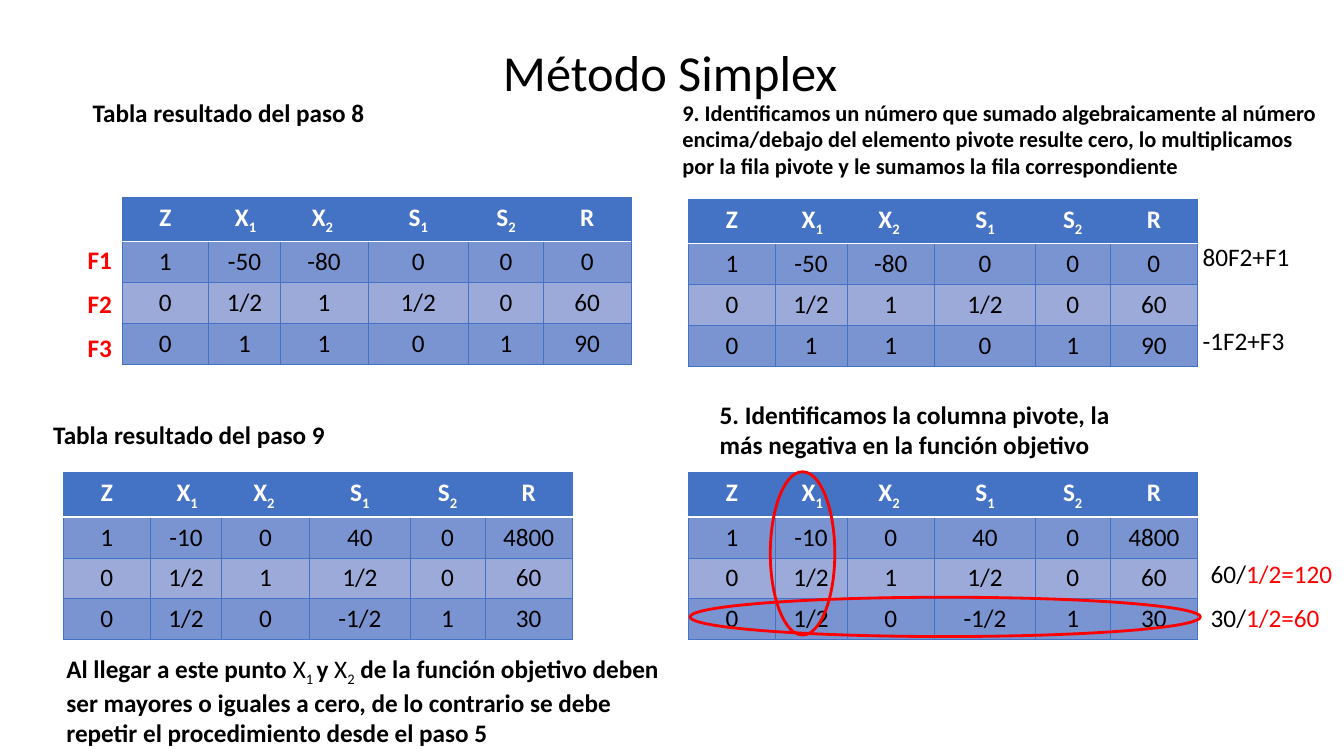
from lxml.etree import SubElement
from pptx import Presentation
from pptx.dml.color import RGBColor
from pptx.enum.shapes import MSO_SHAPE
from pptx.enum.text import MSO_AUTO_SIZE, PP_ALIGN
from pptx.oxml.ns import qn
from pptx.util import Inches, Pt

BLACK = RGBColor(0x00, 0x00, 0x00)
WHITE = RGBColor(0xFF, 0xFF, 0xFF)
RED = RGBColor(0xFF, 0x00, 0x00)
BLUE = RGBColor(0x44, 0x72, 0xC4)
DARK_BAND = RGBColor(0x79, 0x94, 0xD1)
LIGHT_BAND = RGBColor(0x9C, 0xAA, 0xDA)
FONT = "Calibri"

SUB = {"sub": True}
PLAIN = {"bold": False}
PLAIN_SUB = {"bold": False, "sub": True}
IN_RED = {"color": RED}

HEADER = [["Z"], [" X", ("1 ", SUB)], ["X", ("2 ", SUB)],
          ["S", ("1", SUB)], ["S", ("2", SUB)], ["R"]]
STEP_8 = [["1", "-50", "-80", "0", "0", "0"],
          ["0", "1/2", "1", "1/2", "0", "60"],
          ["0", "1", "1", "0", "1", "90"]]
STEP_9 = [["1", "-10", "0", "40", "0", "4800"],
          ["0", "1/2", "1", "1/2", "0", "60"],
          ["0", "1/2", "0", "-1/2", "1", "30"]]
COLUMN_WIDTHS = [0.86, 0.71, 0.87, 1.0, 0.74, 0.87]
ROW_HEIGHT = 0.405
TABLES = [(1.21, 1.96, STEP_8), (0.63, 4.69, STEP_9),
          (6.83, 1.98, STEP_8), (6.83, 4.69, STEP_9)]

# (left, top, width, height), size, bold, color, wrap, gap, paragraphs
TEXTS = [
    ((4.89, 0.36, 3.55, 0.71), 36, False, BLACK, False, 0, [["Método Simplex"]]),
    ((0.82, 0.92, 4.2, 0.4), 18, True, BLACK, True, 0, [["Tabla resultado del paso 8"]]),
    ((6.67, 0.93, 6.53, 0.91), 16, True, BLACK, True, 0,
     [["9. Identificamos un número que sumado algebraicamente al número "
       "encima/debajo del elemento pivote resulte cero, lo multiplicamos "
       "por la fila pivote y le sumamos la fila correspondiente"]]),
    ((11.83, 2.34, 1.07, 1.25), 18, False, BLACK, False, 39, [["80F2+F1"], ["-1F2+F3"]]),
    ((0.43, 4.11, 5.84, 0.4), 18, True, BLACK, True, 0, [["Tabla resultado del paso 9"]]),
    ((11.91, 5.49, 1.42, 0.98), 18, False, BLACK, False, 9.8,
     [["60/", ("1/2=120", IN_RED)], ["30/", ("1/2=60", IN_RED)]]),
    ((0.77, 2.37, 0.45, 1.28), 18, True, RED, False, 9.8, [["F1"], ["F2"], ["F3"]]),
    ((0.56, 6.43, 6.11, 1.01), 18, True, BLACK, True, 0,
     [["Al llegar a este punto ", ("X", PLAIN), ("1 ", PLAIN_SUB), "y ",
       ("X", PLAIN), ("2", PLAIN_SUB),
       " de la función objetivo deben ser mayores o iguales a cero, "
       "de lo contrario se debe repetir el procedimiento desde el paso 5"]]),
    ((7.04, 3.91, 4.2, 0.71), 18, True, BLACK, True, 0,
     [["5. Identificamos la columna pivote, la más negativa en la función objetivo"]]),
]
PIVOT_MARKS = [((7.64, 4.68, 0.64, 1.62), 0), ((9.18, 3.59, 0.39, 5.06), 270)]


def write(paragraph, runs, size, bold, color):
    paragraph.font.name = FONT
    paragraph.font.size = Pt(size)
    paragraph.font.bold = bold
    paragraph.font.color.rgb = color
    for item in runs:
        text, style = (item, {}) if isinstance(item, str) else item
        run = paragraph.add_run()
        run.text = text
        if "bold" in style:
            run.font.bold = style["bold"]
        if "color" in style:
            run.font.color.rgb = style["color"]
        if "sub" in style:
            run._r.get_or_add_rPr().set("baseline", "-25000")


def add_text(slide, box, size, bold, color, wrap, gap, paragraphs):
    frame = slide.shapes.add_textbox(*map(Inches, box)).text_frame
    frame.word_wrap = wrap
    frame.auto_size = MSO_AUTO_SIZE.SHAPE_TO_FIT_TEXT
    for index, runs in enumerate(paragraphs):
        paragraph = frame.add_paragraph() if index else frame.paragraphs[0]
        if index and gap:
            paragraph.space_before = Pt(gap)
        write(paragraph, runs, size, bold, color)


def set_border(cell, side, color, points):
    line = SubElement(cell._tc.get_or_add_tcPr(), qn(f"a:ln{side}"), w=str(Pt(points)))
    fill = SubElement(line, qn("a:solidFill"))
    SubElement(fill, qn("a:srgbClr"), val=str(color))


def add_simplex_table(slide, left, top, values):
    rows = [HEADER] + [[[value] for value in row] for row in values]
    table = slide.shapes.add_table(
        len(rows), len(HEADER), Inches(left), Inches(top),
        Inches(sum(COLUMN_WIDTHS)), Inches(ROW_HEIGHT * len(rows))).table
    for column, width in zip(table.columns, COLUMN_WIDTHS):
        column.width = Inches(width)
    for r, row in enumerate(rows):
        table.rows[r].height = Inches(ROW_HEIGHT)
        for c, runs in enumerate(row):
            cell = table.cell(r, c)
            for side in "LRTB":
                under_header = (r, side) in ((0, "B"), (1, "T"))
                set_border(cell, side, WHITE if under_header else BLUE,
                           1 if under_header else 0.5)
            cell.fill.solid()
            cell.fill.fore_color.rgb = BLUE if r == 0 else DARK_BAND if r % 2 else LIGHT_BAND
            paragraph = cell.text_frame.paragraphs[0]
            paragraph.alignment = PP_ALIGN.CENTER
            write(paragraph, runs, 18, r == 0, BLACK if r else WHITE)


def add_pivot_mark(slide, box, rotation):
    shape = slide.shapes.add_shape(MSO_SHAPE.OVAL, *map(Inches, box))
    shape.rotation = rotation
    shape.shadow.inherit = False
    shape.fill.background()
    shape.line.color.rgb = RED
    shape.line.width = Pt(2)


def main():
    presentation = Presentation()
    presentation.slide_width = Inches(13.33)
    presentation.slide_height = Inches(7.5)
    slide = presentation.slides.add_slide(presentation.slide_layouts[6])
    for table in TABLES:
        add_simplex_table(slide, *table)
    for text in TEXTS:
        add_text(slide, *text)
    for mark in PIVOT_MARKS:
        add_pivot_mark(slide, *mark)
    presentation.save("out.pptx")


if __name__ == "__main__":
    main()
